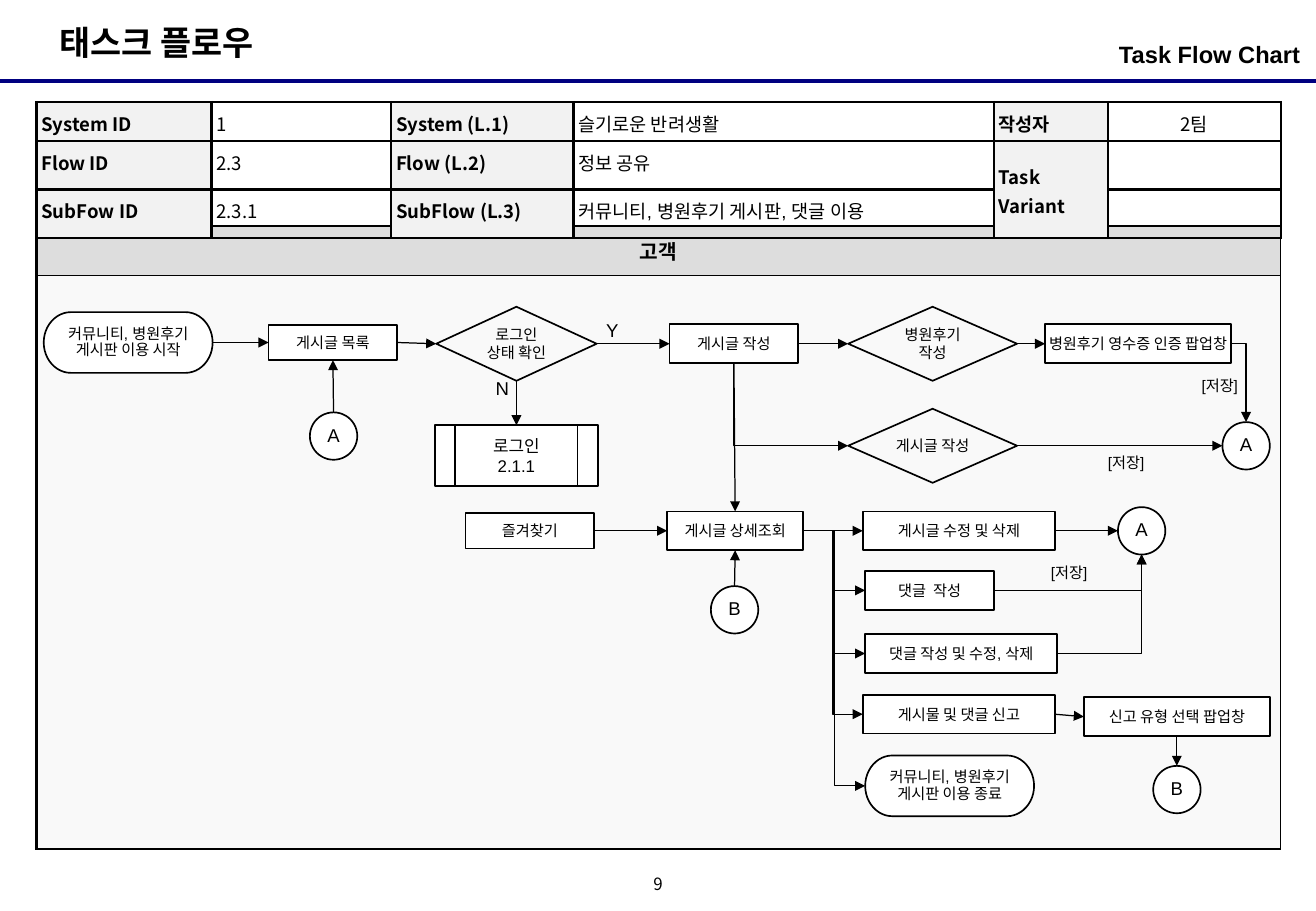
from pptx import Presentation
from pptx.dml.color import RGBColor
from pptx.enum.shapes import MSO_CONNECTOR, MSO_SHAPE
from pptx.enum.text import MSO_ANCHOR, PP_ALIGN
from pptx.oxml.ns import qn
from pptx.util import Inches, Pt
from lxml import etree

BLACK, WHITE = RGBColor(0, 0, 0), RGBColor(255, 255, 255)
NAVY = RGBColor(0, 0, 0x80)
LABEL_GREY = RGBColor(0xF2, 0xF2, 0xF2)
HEADING_GREY = RGBColor(0xDD, 0xDD, 0xDD)
LANE_GREY = RGBColor(0xF9, 0xF9, 0xF9)
LEFT, CENTER, RIGHT = PP_ALIGN.LEFT, PP_ALIGN.CENTER, PP_ALIGN.RIGHT
TOP, MIDDLE = MSO_ANCHOR.TOP, MSO_ANCHOR.MIDDLE
STRAIGHT, ELBOW = MSO_CONNECTOR.STRAIGHT, MSO_CONNECTOR.ELBOW
LATIN, KOREAN = "Arial", "Noto Sans CJK KR"

# Grid of tenth-inch columns and rows
COLUMNS, ROWS = 108.3, 75

# Node kinds: preset, height in rows, fill, format of the text
PROCESS = (MSO_SHAPE.RECTANGLE, 3.2, WHITE, {"inset": 0.1})
SMALL = (MSO_SHAPE.RECTANGLE, 2.9, WHITE, {"inset": 0.1})
TERMINAL = (MSO_SHAPE.FLOWCHART_TERMINATOR, 5, WHITE, {"spacing": 0.9, "inset": 0.2})
CIRCLE = (MSO_SHAPE.FLOWCHART_CONNECTOR, 3.9, WHITE, {"size": 11, "spacing": 0.9})
DECISION = (MSO_SHAPE.FLOWCHART_DECISION, 6.1, None, {"inset": 0.4})
SUBTASK = (MSO_SHAPE.FLOWCHART_PREDEFINED_PROCESS, 5, WHITE, {"size": 10})


def grid(steps):
    return Inches(round(steps / 10, 3))


class FlowBoard:
    """Holds the style and the current slide."""

    def __init__(self, deck):
        self.page = deck.slides.add_slide(deck.slide_layouts[6])
        self.shapes = self.page.shapes

    def put_text(self, frame, text, size=9, bold=False, align=CENTER, font=LATIN, spacing=1):
        for index, line in enumerate(text.split("\n")):
            para = frame.paragraphs[0] if index == 0 else frame.add_paragraph()
            para.alignment, para.line_spacing = align, spacing
            span = para.add_run()
            span.text = line
            for name, value in {"size": Pt(size), "bold": bold, "name": font}.items():
                setattr(span.font, name, value)
            span.font.color.rgb = BLACK
            east = etree.SubElement(span.font._element, qn("a:ea"))
            east.set("typeface", KOREAN)

    def fit(self, target, anchor, across, down):
        values = {"margin_left": across, "margin_right": across,
                  "margin_top": down, "margin_bottom": down}
        for name, value in values.items():
            setattr(target, name, grid(value))
        target.vertical_anchor = anchor

    def label(self, place, text, across=1, down=1, anchor=TOP, **style):
        box = self.shapes.add_textbox(*map(grid, place))
        box.text_frame.word_wrap = True
        self.fit(box.text_frame, anchor, across, down)
        self.put_text(box.text_frame, text, **style)

    def node(self, kind, left, middle, width, text):
        preset, height, fill, style = kind
        style = dict(style)
        inset = style.pop("inset", 0.2)
        top = middle - height / 2
        box = self.shapes.add_shape(preset, *map(grid, (left, top, width, height)))
        box.shadow.inherit = False
        if fill is None:
            box.fill.background()
        else:
            box.fill.solid()
            box.fill.fore_color.rgb = fill
        box.line.color.rgb, box.line.width = BLACK, Pt(1)
        box.text_frame.word_wrap = True
        self.fit(box.text_frame, MIDDLE, inset, 0)
        self.put_text(box.text_frame, text, **style)
        return {"left": (left, middle), "right": (left + width, middle),
                "top": (left + width / 2, top),
                "bottom": (left + width / 2, top + height)}

    def line(self, start, end, kind=STRAIGHT, color=BLACK, width=0.75, arrow=None, preset=None):
        link = self.shapes.add_connector(kind, *map(grid, start + end))
        link.line.color.rgb, link.line.width = color, Pt(width)
        if arrow:
            head = etree.SubElement(link.line._get_or_add_ln(), qn(arrow))
            head.set("type", "triangle")
        properties = link._element.spPr
        etree.SubElement(properties, qn("a:effectLst"))
        if preset:
            properties.find(qn("a:prstGeom")).set("prst", preset)

    def corner(self, start, end, leaves_down=False):
        # A one-bend elbow always leaves its start sideways
        if leaves_down:
            self.line(end, start, ELBOW, arrow="a:headEnd", preset="bentConnector2")
        else:
            self.line(start, end, ELBOW, arrow="a:tailEnd", preset="bentConnector2")

    def table(self, left, top, widths, heights):
        frame = self.shapes.add_table(len(heights), len(widths), *map(
            grid, (left, top, sum(widths), sum(heights))))
        table = frame.table
        table.first_row = table.horz_banding = False
        for column, width in zip(table.columns, widths):
            column.width = grid(width)
        for row, height in zip(table.rows, heights):
            row.height = grid(height)
        return table

    def cell(self, cell, fill, borders):
        if fill is None:
            cell.fill.background()
        else:
            cell.fill.solid()
            cell.fill.fore_color.rgb = fill
        properties = cell._tc.get_or_add_tcPr()
        for index, (side, width) in enumerate(zip("LRTB", borders)):
            edge = etree.Element(qn("a:ln" + side), w=str(Pt(width)))
            paint = etree.SubElement(edge, qn("a:solidFill"))
            etree.SubElement(paint, qn("a:srgbClr"), val=str(BLACK))
            properties.insert(index, edge)


deck = Presentation()
deck.slide_width, deck.slide_height = grid(COLUMNS), grid(ROWS)
board = FlowBoard(deck)

# Title band and page number
board.line((0, 6.7), (COLUMNS, 6.7), color=NAVY, width=2.25)
board.label((3.9, 1.3, 19.8, 4.4), "태스크 플로우", down=0.5, size=20, bold=True, align=LEFT)
board.label((73.9, 2.8, 33.1, 3.9), "Task Flow Chart", across=0, down=0.5,
            size=14, bold=True, align=RIGHT)
board.label((52.5, 71.7, 3.3, 2.5), "9", across=0, down=0, anchor=MIDDLE,
            size=10, font=KOREAN, spacing=0.8)

# Customer lane
lane = board.table(3, 18.6, [102.4], [4.1, 47.2])
heading, body = lane.cell(0, 0), lane.cell(1, 0)
board.fit(heading, MIDDLE, 1, 0.5)
board.put_text(heading.text_frame, "고객", size=12, bold=True)
board.cell(heading, HEADING_GREY, (1.5, 0.75, 1.5, 0.75))
board.cell(body, LANE_GREY, (1.5, 0.75, 0.75, 1.5))

# Task header
header_rows = [
    ["System ID", "1", "System (L.1)", "슬기로운 반려생활", "작성자", "2팀"],
    ["Flow ID", "2.3", "Flow (L.2)", "정보 공유", "Task Variant", ""],
    ["SubFow ID", "2.3.1", "SubFlow (L.3)", "커뮤니티, 병원후기 게시판, 댓글 이용", "", ""],
]
header = board.table(3, 8.4, [14.4, 14.8, 15, 34.6, 9.4, 14.2], [3.2, 3.6, 3.7])
header.cell(1, 4).merge(header.cell(2, 4))
for row, texts in enumerate(header_rows):
    for column, text in enumerate(texts):
        cell, is_label = header.cell(row, column), column % 2 == 0
        board.cell(cell, LABEL_GREY if is_label else None, [1.5] * 4)
        if text:
            board.fit(cell, MIDDLE if column > 3 else TOP, 0.4, 0.4)
            board.put_text(cell.text_frame, text, size=11, bold=is_label, spacing=1.1,
                           align=CENTER if column == 5 else LEFT,
                           font=LATIN if (row, column) == (2, 3) else KOREAN)

# Flow nodes: kind, left, middle, width, text
nodes = {name: board.node(*details) for name, details in {
    "start": (TERMINAL, 3.6, 28.2, 13.9, "커뮤니티, 병원후기\n게시판 이용 시작"),
    "list": (SMALL, 22.1, 28.2, 10.6, "게시글 목록"),
    "list_a": (CIRCLE, 25.5, 35.9, 3.9, "A"),
    "login_check": (DECISION, 35.9, 28.3, 13.2, "로그인 상태 확인"),
    "login": (SUBTASK, 35.8, 37.5, 13.4, "로그인\n2.1.1"),
    "compose": (PROCESS, 55.1, 28.3, 10.6, "게시글 작성"),
    "review": (DECISION, 69.8, 28.3, 13.9, "병원후기 작성"),
    "receipt": (PROCESS, 86, 28.3, 15.3, "병원후기 영수증 인증 팝업창"),
    "post": (DECISION, 69.8, 36.7, 13.9, "게시글 작성"),
    "saved_a": (CIRCLE, 100.6, 36.7, 3.9, "A"),
    "favorite": (SMALL, 38.3, 43.7, 10.6, "즐겨찾기"),
    "detail": (PROCESS, 54.9, 43.7, 11.2, "게시글 상세조회"),
    "detail_b": (CIRCLE, 58.5, 50.2, 3.9, "B"),
    "edit": (PROCESS, 71, 43.7, 15.8, "게시글 수정 및 삭제"),
    "edited_a": (CIRCLE, 92, 43.7, 3.9, "A"),
    "comment": (PROCESS, 71.2, 48.6, 10.6, "댓글  작성"),
    "comment_edit": (PROCESS, 71.2, 53.8, 15.8, "댓글 작성 및 수정, 삭제"),
    "report": (PROCESS, 71, 58.8, 15.8, "게시물 및 댓글 신고"),
    "reason": (PROCESS, 89.2, 59, 15.3, "신고 유형 선택 팝업창"),
    "reason_b": (CIRCLE, 94.9, 65, 3.9, "B"),
    "end": (TERMINAL, 71.2, 64.7, 13.9, "커뮤니티, 병원후기\n게시판 이용 종료"),
}.items()}

# Straight arrows, along each row and then up or down
chains = {
    ("right", "left"): ["start list login_check compose review receipt", "post saved_a",
                        "favorite detail edit edited_a", "report reason"],
    ("bottom", "top"): ["login_check login", "compose detail", "reason reason_b"],
    ("top", "bottom"): ["list_a list", "detail_b detail"],
}
for (leave, reach), routes in chains.items():
    for names in map(str.split, routes):
        for source, target in zip(names, names[1:]):
            board.line(nodes[source][leave], nodes[target][reach], arrow="a:tailEnd")

# Bent arrows
board.corner(nodes["compose"]["bottom"], nodes["post"]["left"], leaves_down=True)
board.corner(nodes["receipt"]["right"], nodes["saved_a"]["top"])
for source in ("comment", "comment_edit"):
    board.corner(nodes[source]["right"], nodes["edited_a"]["bottom"])
for target in ("comment", "comment_edit", "report", "end"):
    board.line(nodes["detail"]["right"], nodes[target]["left"], ELBOW, arrow="a:tailEnd")

# Branch labels
for left, top, text in ((39.8, 30.1, "N"), (48.9, 25.3, "Y")):
    board.label((left, top, 3, 3.9), text, size=11, align=LEFT)
for left, top in ((97.9, 30.2), (90.2, 36.6), (85.5, 45.6)):
    board.label((left, top, 5.7, 3.5), "[저장]", align=LEFT)

deck.save("out.pptx")
